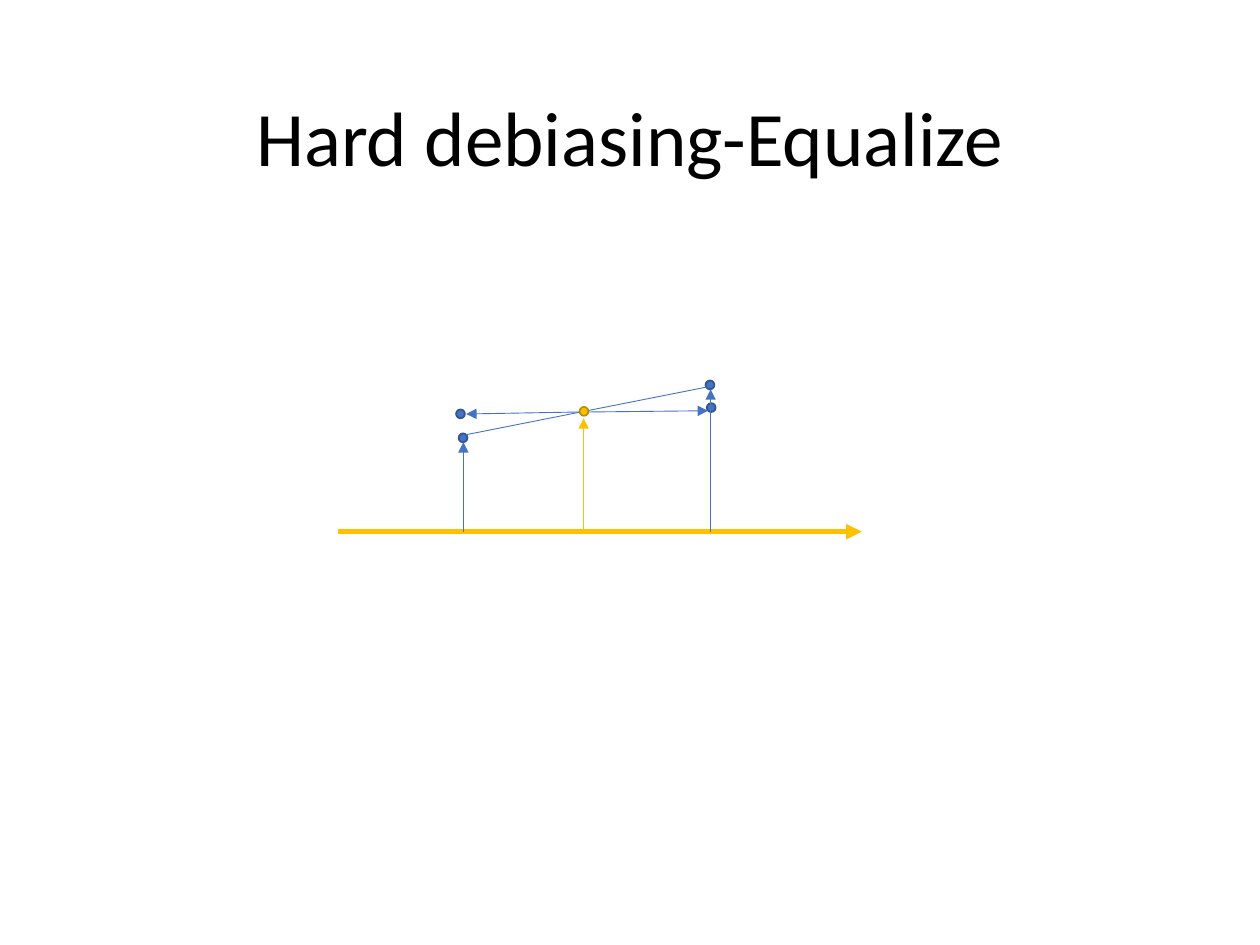
import pptx
import pptx.dml.color
import pptx.enum.shapes
import pptx.enum.text
import pptx.oxml
import pptx.util
from pptx.util import Pt

BLUE, DARK_BLUE = "4472C4", "325491"
GOLD, DARK_GOLD = "FFC000", "BD8E00"
DOT_SIZE = 5.04
AXIS_Y = 303.84


def color(hex_code):
    return pptx.dml.color.RGBColor.from_string(hex_code)


def add_title(slide, text):
    shape = slide.shapes.add_textbox(Pt(49.68), Pt(28.8), Pt(620.64), Pt(104.4))
    text_frame = shape.text_frame
    text_frame.word_wrap = True
    text_frame.vertical_anchor = pptx.enum.text.MSO_ANCHOR.MIDDLE
    text_frame.text = text
    paragraph = text_frame.paragraphs[0]
    paragraph.alignment = pptx.enum.text.PP_ALIGN.CENTER
    paragraph.line_spacing = 0.9
    font = paragraph.runs[0].font
    font.name = "Calibri"
    font.size = Pt(44)
    font.color.rgb = color("000000")


def add_dot(slide, center, fill=BLUE, outline=DARK_BLUE):
    x, y = center
    shape = slide.shapes.add_shape(
        pptx.enum.shapes.MSO_SHAPE.OVAL,
        Pt(x - DOT_SIZE / 2), Pt(y - DOT_SIZE / 2), Pt(DOT_SIZE), Pt(DOT_SIZE))
    shape.shadow.inherit = False
    shape.fill.solid()
    shape.fill.fore_color.rgb = color(fill)
    shape.line.color.rgb = color(outline)
    shape.line.width = Pt(1)


def add_line(slide, start, end, stroke=BLUE, width=0.5, arrow=True):
    connector = slide.shapes.add_connector(
        pptx.enum.shapes.MSO_CONNECTOR.STRAIGHT,
        Pt(start[0]), Pt(start[1]), Pt(end[0]), Pt(end[1]))
    connector.line.color.rgb = color(stroke)
    connector.line.width = Pt(width)
    if arrow:
        line_properties = connector.line._get_or_add_ln()
        line_properties.append(pptx.oxml.parse_xml(
            '<a:tailEnd xmlns:a="http://schemas.openxmlformats.org/drawingml/2006/main"'
            ' type="triangle"/>'))
    connector._element.spPr.append(pptx.oxml.parse_xml(
        '<a:effectLst xmlns:a="http://schemas.openxmlformats.org/drawingml/2006/main"/>'))


def main():
    presentation = pptx.Presentation()
    presentation.slide_width, presentation.slide_height = Pt(720), Pt(540)
    slide = presentation.slides.add_slide(presentation.slide_layouts[6])

    left_before, right_before = (264.6, 250.2), (405.72, 219.96)
    left_after, right_after = (263.16, 236.52), (406.44, 232.92)
    midpoint = (333.72, 235.08)

    add_title(slide, "Hard debiasing-Equalize")
    add_line(slide, (192.96, AXIS_Y), (492.48, AXIS_Y), GOLD, 3)
    add_dot(slide, left_before)
    add_dot(slide, right_before)
    add_line(slide, (266.4, 248.4), (408.24, 220.32), arrow=False)
    add_dot(slide, midpoint, GOLD, DARK_GOLD)
    add_dot(slide, left_after)
    add_dot(slide, right_after)

    for x, tip_y, stroke in [(264.8, 252.72, BLUE), (406.08, 222.48, BLUE),
                             (333.5, 239.04, GOLD)]:
        add_line(slide, (x, AXIS_Y), (x, tip_y), stroke)

    add_line(slide, (331.2, 235.44), (266.4, 236.6))
    add_line(slide, (336.24, 235.44), (404.64, 234.72))
    presentation.save("out.pptx")


if __name__ == "__main__":
    main()
